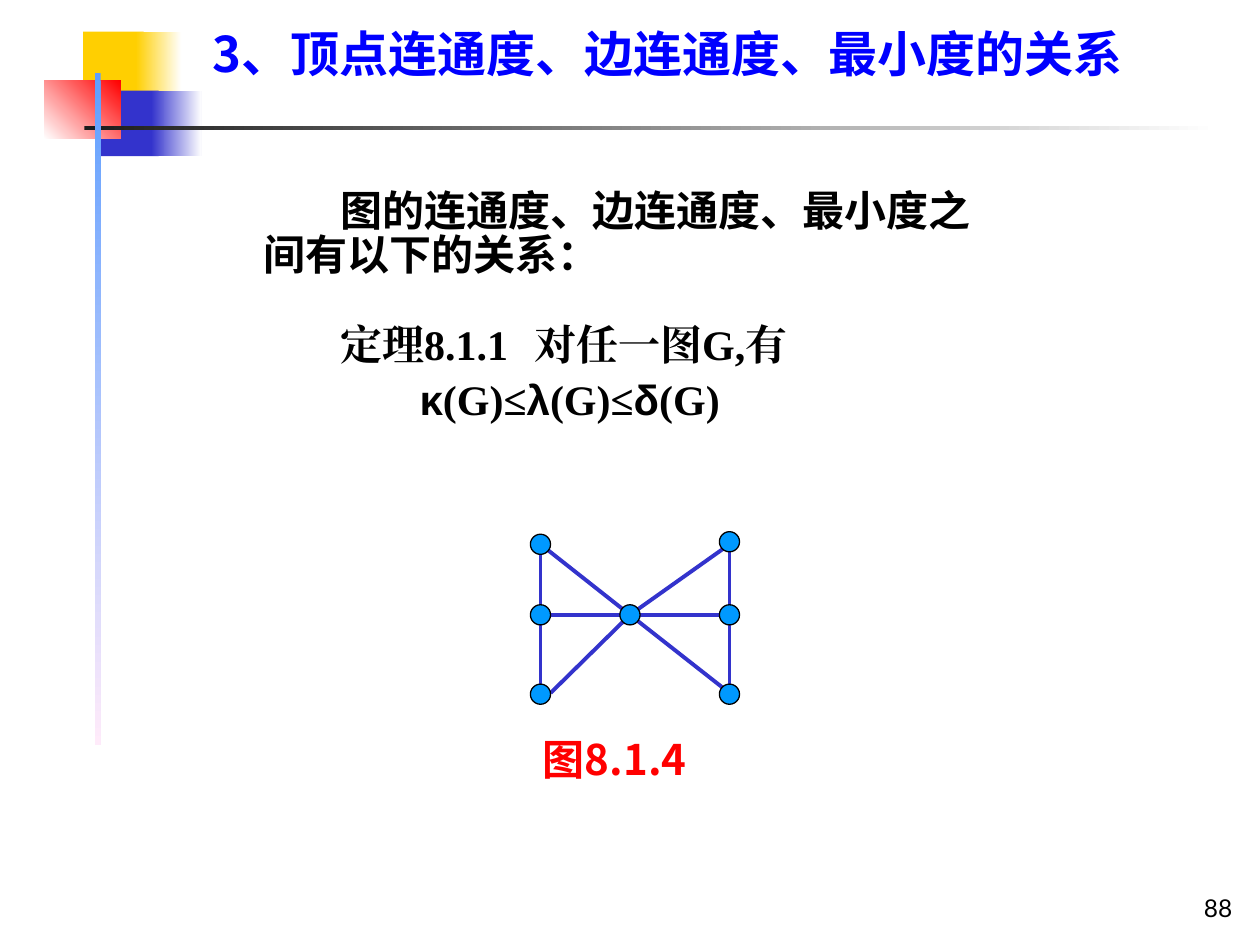
from dataclasses import dataclass
from typing import Optional

from lxml import etree
from pptx import Presentation
from pptx.dml.color import RGBColor
from pptx.enum.shapes import MSO_CONNECTOR, MSO_SHAPE
from pptx.enum.text import MSO_ANCHOR, PP_ALIGN
from pptx.oxml.ns import qn
from pptx.util import Inches, Pt

RECTANGLE, OVAL = MSO_SHAPE.RECTANGLE, MSO_SHAPE.OVAL
STRAIGHT = MSO_CONNECTOR.STRAIGHT
TOP, BOTTOM = MSO_ANCHOR.TOP, MSO_ANCHOR.BOTTOM
LEFT, RIGHT = PP_ALIGN.LEFT, PP_ALIGN.RIGHT

BLACK = RGBColor(0x00, 0x00, 0x00)
WHITE = RGBColor(0xFF, 0xFF, 0xFF)
YELLOW = RGBColor(0xFF, 0xCF, 0x01)
INDIGO = RGBColor(0x33, 0x33, 0xCC)
RED = RGBColor(0xFF, 0x00, 0x00)
CHARCOAL = RGBColor(0x1C, 0x1C, 0x1C)
SKY = RGBColor(0x5E, 0x9E, 0xFF)
PINK = RGBColor(0xFF, 0xEB, 0xFA)
BLUE = RGBColor(0x00, 0x00, 0xFF)
NODE_BLUE = RGBColor(0x00, 0x99, 0xFF)

CJK, SERIF, SANS, NUMBER = "Noto Sans CJK SC", "Times New Roman", "Arial", "Lato"
NODE_SIZE = 0.16


@dataclass
class Block:
    """A decorative rectangle, plain or fading to a second colour."""
    left: float
    top: float
    width: float
    height: float
    start: RGBColor
    end: Optional[RGBColor] = None
    angle: float = 0


@dataclass
class Span:
    text: str
    font: str


@dataclass
class Line:
    """One paragraph and its layout."""
    spans: list[Span]
    size: float = 24
    color: RGBColor = BLACK
    bold: bool = True
    indent: float = 0
    tab: float = 0
    spacing: Optional[float] = None
    before: float = 0
    align: PP_ALIGN = LEFT


BLOCKS = [
    Block(0.66, 0.25, 0.48, 0.52, YELLOW),
    Block(1.08, 0.25, 0.36, 0.52, YELLOW, WHITE),
    Block(0.8, 0.72, 0.46, 0.52, INDIGO),
    Block(1.2, 0.72, 0.4, 0.52, INDIGO, WHITE),
    Block(0.35, 0.64, 0.61, 0.46, WHITE, RED, 45),
    Block(0.67, 1, 9, 0.03, CHARCOAL, WHITE),
    Block(0.75, 0.58, 0.05, 5.33, SKY, PINK, 270),
]

# Graph: two triangles' fans sharing the centre vertex
CENTRE = (5, 4.88)
LEFT_X, RIGHT_X = 4.29, 5.79
NODES = [(LEFT_X, 4.32), (RIGHT_X, 4.3), (LEFT_X, 4.88), (RIGHT_X, 4.88),
         (LEFT_X, 5.51), (RIGHT_X, 5.51), CENTRE]
EDGES = [
    ((LEFT_X, 4.88), (RIGHT_X, 4.88)),
    (CENTRE, (RIGHT_X, 5.5)),
    ((LEFT_X, 4.32), CENTRE),
    ((LEFT_X, 4.32), (LEFT_X, 5.5)),
    ((4.37, 5.5), CENTRE),
    ((RIGHT_X, 4.32), CENTRE),
    ((RIGHT_X, 4.32), (RIGHT_X, 5.5)),
]


def draw_block(page, block: Block) -> None:
    shape = page.shapes.add_shape(RECTANGLE, Inches(block.left), Inches(block.top),
                                  Inches(block.width), Inches(block.height))
    shape.shadow.inherit = False
    shape.line.fill.background()
    if block.end is None:
        shape.fill.solid()
        shape.fill.fore_color.rgb = block.start
        return
    shape.fill.gradient()
    shape.fill.gradient_angle = block.angle
    for stop, color in zip(shape.fill.gradient_stops, (block.start, block.end)):
        stop.color.rgb = color


def draw_edge(page, start: tuple, end: tuple) -> None:
    edge = page.shapes.add_connector(STRAIGHT, *map(Inches, start + end))
    edge.line.color.rgb = INDIGO
    edge.line.width = Pt(2.25)
    etree.SubElement(edge._element.spPr, qn("a:effectLst"))


def draw_node(page, center: tuple) -> None:
    left, top = (Inches(value - NODE_SIZE / 2) for value in center)
    node = page.shapes.add_shape(OVAL, left, top, Inches(NODE_SIZE), Inches(NODE_SIZE))
    node.shadow.inherit = False
    node.fill.solid()
    node.fill.fore_color.rgb = NODE_BLUE
    node.line.color.rgb = BLACK
    node.line.width = Pt(0.75)


def write_line(paragraph, line: Line) -> None:
    properties = paragraph._p.get_or_add_pPr()
    properties.set("indent", str(Inches(line.indent)))
    if line.tab:
        tabs = etree.SubElement(properties, qn("a:tabLst"))
        etree.SubElement(tabs, qn("a:tab"), pos=str(Inches(line.tab)), algn="l")
    paragraph.alignment = line.align
    if line.spacing:
        paragraph.line_spacing = line.spacing
    if line.before:
        paragraph.space_before = Pt(line.before)
    for span in line.spans:
        run = paragraph.add_run()
        run.text = span.text
        run.font.name = span.font
        run.font.size = Pt(line.size)
        run.font.bold = line.bold
        run.font.color.rgb = line.color
        etree.SubElement(run._r.get_or_add_rPr(), qn("a:ea"), typeface=span.font)


def draw_text(page, left: float, top: float, width: float, height: float,
              lines: list[Line], inset: tuple = (0, 0),
              anchor: MSO_ANCHOR = TOP, wrap: bool = True) -> None:
    box = page.shapes.add_textbox(Inches(left), Inches(top), Inches(width), Inches(height))
    frame = box.text_frame
    frame.word_wrap = wrap
    frame.vertical_anchor = anchor
    frame.margin_left = frame.margin_right = Inches(inset[0])
    frame.margin_top = frame.margin_bottom = Inches(inset[1])
    for index, line in enumerate(lines):
        write_line(frame.add_paragraph() if index else frame.paragraphs[0], line)


def main() -> None:
    deck = Presentation()
    deck.slide_width, deck.slide_height = Inches(10), Inches(7.5)
    page = deck.slides.add_slide(deck.slide_layouts[6])

    # Corner decoration and page number
    for block in BLOCKS:
        draw_block(page, block)
    draw_text(page, 7.8, 6.87, 2.08, 0.5,
              [Line([Span("88", NUMBER)], size=14, bold=False, align=RIGHT)],
              (0.1, 0.05), BOTTOM)

    # Title
    title = Span("3、顶点连通度、边连通度、最小度的关系", CJK)
    draw_text(page, 1.69, 0.24, 7.48, 0.84, [Line([title], 28, BLUE, spacing=0.9)])

    # Introduction and theorem
    intro = Span("图的连通度、边连通度、最小度之间有以下的关系：", CJK)
    draw_text(page, 2.09, 1.52, 5.75, 0.72,
              [Line([intro], indent=0.61, spacing=Pt(25))])
    formula = [Span("κ", SANS), Span("(G)≤", SERIF), Span("λ", SANS),
               Span("(G)≤", SERIF), Span("δ", SANS), Span("(G)", SERIF)]
    draw_text(page, 2.24, 2.57, 5.04, 0.8, [
        Line([Span("定理8.1.1\t对任一图G,有", SERIF)], indent=0.46, tab=2.12, spacing=0.9),
        Line(formula, indent=1.09, spacing=0.9, before=6),
    ])

    # Graph and its caption
    for start, end in EDGES:
        draw_edge(page, start, end)
    for center in NODES:
        draw_node(page, center)
    draw_text(page, 4.21, 5.77, 1.61, 0.5, [Line([Span("图8.1.4", CJK)], color=RED)],
              (0.1, 0.05), wrap=False)

    deck.save("out.pptx")


if __name__ == "__main__":
    main()
